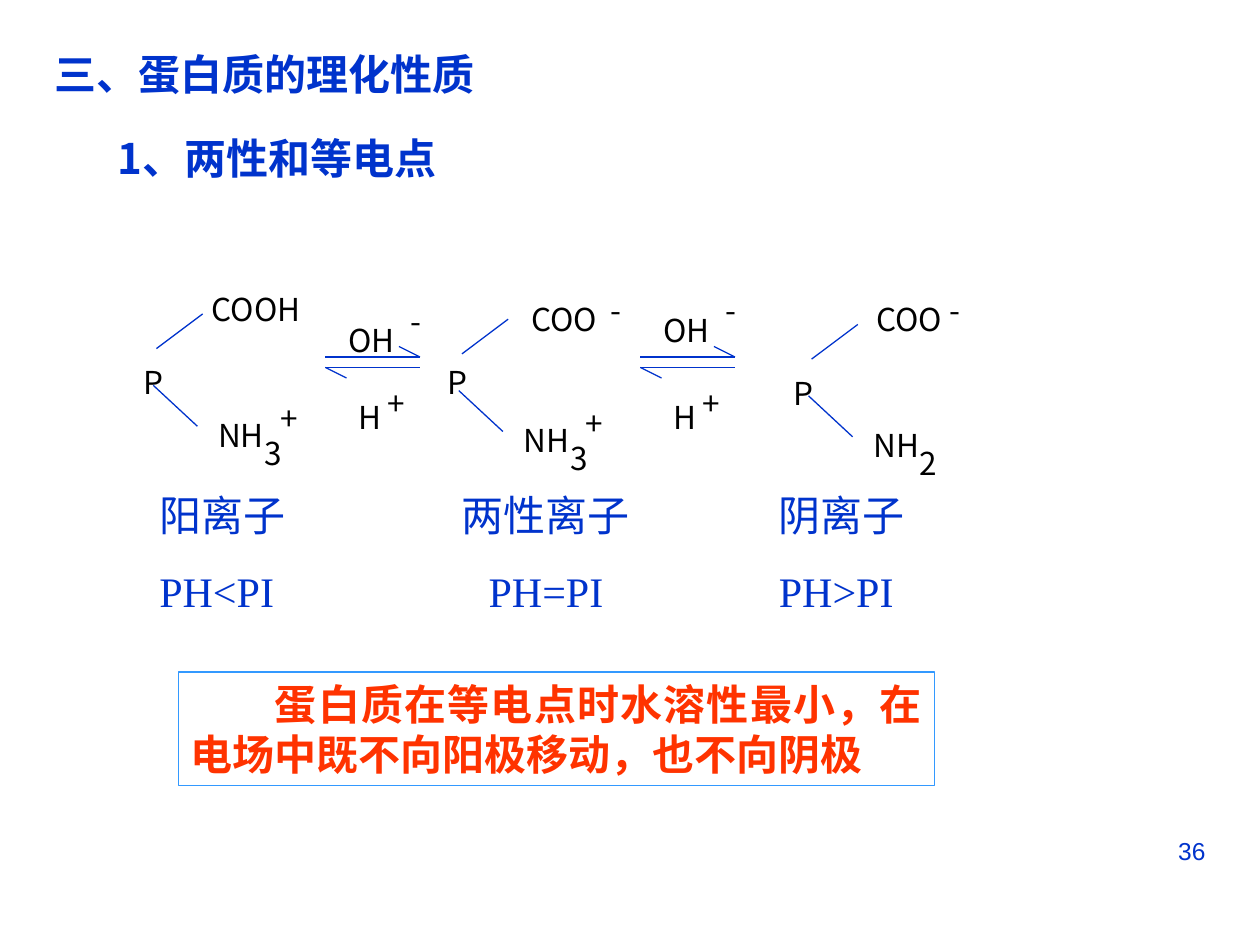
"""Build the slide on protein charge states and the isoelectric point."""
from lxml import etree
from pptx import Presentation, util as u
from pptx.dml.color import RGBColor
from pptx.enum import shapes, text as t
from pptx.oxml.ns import qn

theme = dict(blue="0033CC", black="000000", red="FF3300", edge="3399FF",
             roman="Times New Roman", sans="Noto Sans CJK SC", arial="Arial",
             big=24, mid=18, small=14, thin=0.75)

deck = Presentation()
deck.slide_width, deck.slide_height = u.Inches(10), u.Inches(7.5)
col, row = deck.slide_width / 120, deck.slide_height / 90
slide = deck.slides.add_slide(deck.slide_layouts[1])
items = slide.shapes


def write(words, x, y, w, h, box=None, size="big", font="roman", color="blue", bold=False,
          align=t.PP_ALIGN.LEFT, wrap=True, pad=0.05, indent=0):
    area = [int(v) for v in (x * col, y * row, w * col, h * row)]
    if box is None:
        box = items.add_textbox(*area)
    box.left, box.top, box.width, box.height = area
    frame = box.text_frame
    frame.text = words
    frame.word_wrap, frame.auto_size = wrap, t.MSO_AUTO_SIZE.NONE
    frame.vertical_anchor = t.MSO_ANCHOR.TOP
    frame.margin_left = frame.margin_right = u.Inches(0.1)
    frame.margin_top = frame.margin_bottom = u.Inches(pad)
    for n, para in enumerate(frame.paragraphs):
        para.alignment, para.space_before = align, u.Pt(15 if n else 0)
        props = para._p.get_or_add_pPr()
        props.set("marL", "0")
        props.set("indent", str(int(indent * col)))
        etree.SubElement(props, qn("a:buNone"))
        for run in para.runs:
            run.font.name, run.font.size = theme[font], u.Pt(theme[size])
            run.font.bold = bold
            run.font.color.rgb = RGBColor.from_string(theme[color])
            east = etree.SubElement(run._r.get_or_add_rPr(), qn("a:ea"))
            east.set("typeface", theme["sans"])


def draw(x, y, right, low):
    ends = [int(v) for v in (x * col, y * row, right * col, low * row)]
    bond = items.add_connector(shapes.MSO_CONNECTOR.STRAIGHT, *ends)
    bond.line.color.rgb = RGBColor.from_string(theme["blue"])
    bond.line.width = u.Pt(theme["thin"])
    etree.SubElement(bond._element.spPr, qn("a:effectLst"))


atom = dict(size="mid", font="sans", color="black", wrap=False)
minus = dict(atom, pad=-0.02)

write("三、蛋白质的理化性质", 4, 4, 72, 6, box=items.title, bold=True)
write("1、两性和等电点", 10, 12, 43, 6, box=slide.placeholders[1], font="sans", bold=True)

forms = [
    ((14.6, 36.7), (13, 34), "COOH", (19, 27, 9, 4.4), None, "3", "+"),
    ((43.7, 37.2), (42, 34), "COO", (49.4, 28, 6.5, 4), 57, "3", "+"),
    ((77, 37.7), (75, 35), "COO", (82.3, 28, 6, 4.4), 89.3, "2", ""),
]
for (x, y), core, acid, spot, dash, count, charge in forms:
    write("P", *core, 1.8, 3.2, **atom)
    draw(x, y, x + 4.2, y + 3.9)
    draw(x + 0.3, y - 3.5, x + 4.7, y - 6.8)
    write(acid, *spot, **atom)
    if dash:
        write("-", dash, 28, 2.3, 0.4, **minus)
    write("NH", x + 5, y + 2.3, 5, 3.5, **atom)
    write(count, x + 10, y + 4, 1.8, 2.3, **atom)
    if charge:
        write(charge, x + 10.9, y + 0.7, 2.5, 1.9, **atom)

for x, y in [(31, 30), (61, 29)]:
    draw(x, 34, x + 9, 34)
    draw(x + 9, 34, x + 7, 33)
    draw(x, 35, x + 9, 35)
    draw(x, 35, x + 2, 36)
    write("H", x + 2, 37.3, 2.5, 2.6, **atom)
    write("+", x + 5.4, 36, 1.7, 1.3, **atom)
    write("OH", x + 1, y, 5, 3, **atom)
    write("-", x + 7, y - 1, 2.3, 0.4, **minus)

for words, x, w, align in [
    ("阳离子\nPH<PI", 14, 18, t.PP_ALIGN.LEFT),
    ("两性离子\nPH=PI", 42, 20, t.PP_ALIGN.CENTER),
    ("阴离子\nPH>PI", 73, 16, t.PP_ALIGN.LEFT),
]:
    write(words, x, 46, w, 13.3, align=align)

note = items.add_shape(shapes.MSO_SHAPE.RECTANGLE, 0, 0, 0, 0)
note.shadow.inherit = False
note.fill.background()
note.line.color.rgb = RGBColor.from_string(theme["edge"])
note.line.width = u.Pt(theme["thin"])
write("蛋白质在等电点时水溶性最小，在电场中既不向阳极移动，也不向阴极", 17, 64, 72, 10.8,
      box=note, color="red", bold=True, align=t.PP_ALIGN.JUSTIFY, indent=8)

write("36", 86, 79, 30, 6.2, size="small", font="arial", align=t.PP_ALIGN.RIGHT)

deck.save("out.pptx")
